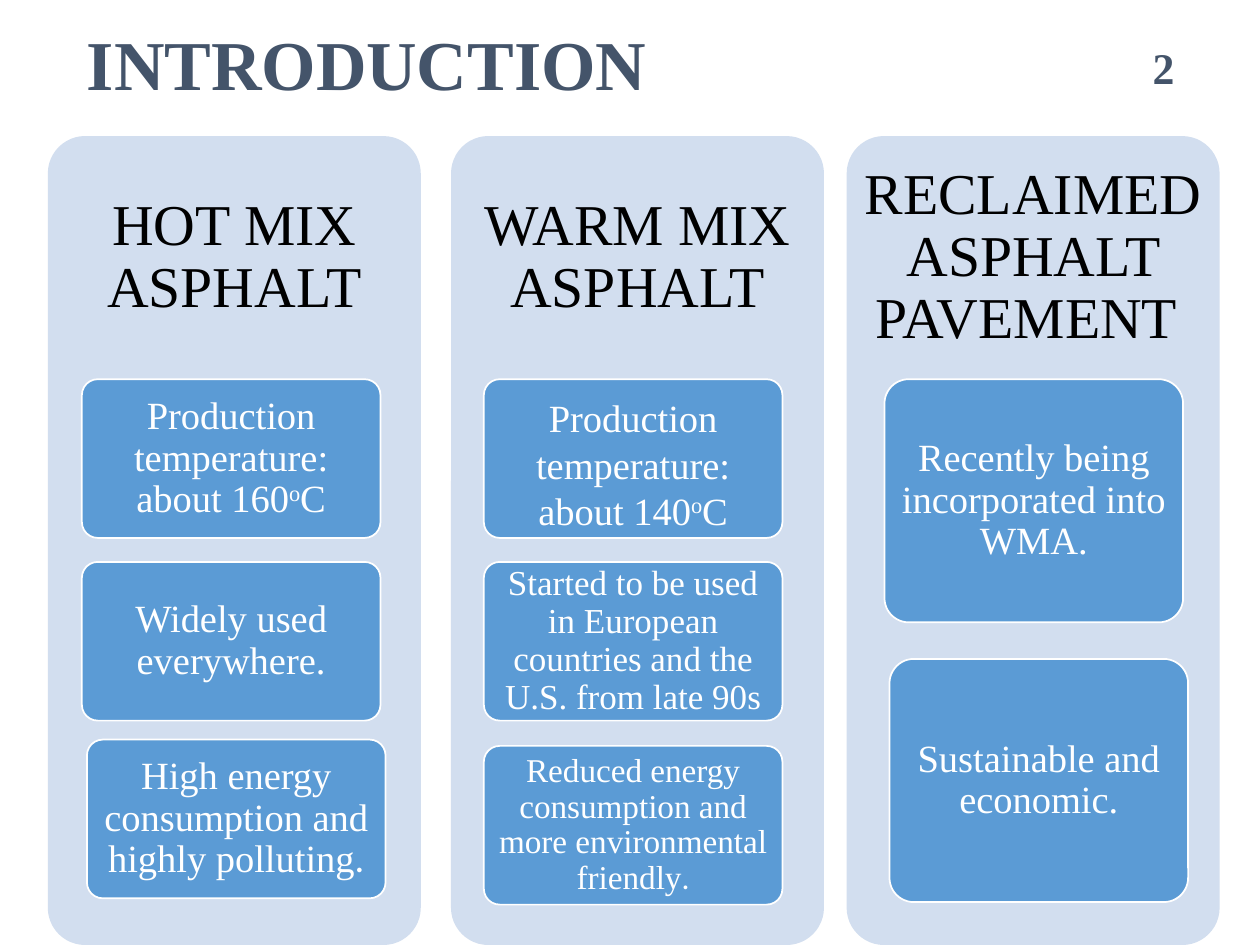
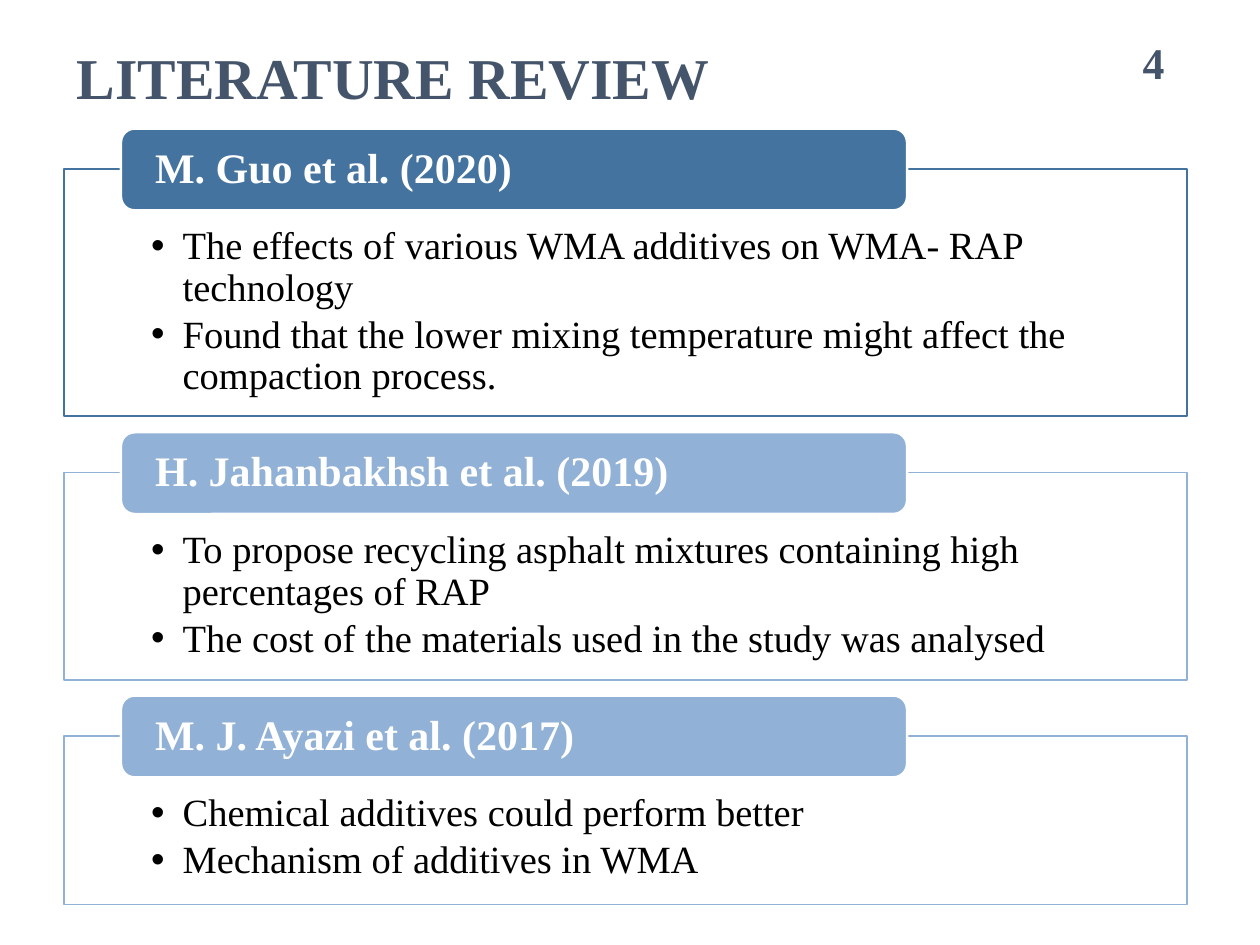
"""Build two slides on asphalt mixes: an introduction and a literature review."""
import pptx
import pptx.dml.color
import pptx.enum.shapes
import pptx.enum.text
import pptx.oxml
import pptx.oxml.ns
import pptx.util
from dataclasses import dataclass

Inches = pptx.util.Inches
Pt = pptx.util.Pt
RGB = pptx.dml.color.RGBColor.from_string
SHAPE = pptx.enum.shapes.MSO_SHAPE
ALIGN = pptx.enum.text.PP_ALIGN
ANCHOR = pptx.enum.text.MSO_ANCHOR


@dataclass(frozen=True)
class Theme:
    """Colours, fonts and type sizes."""
    font: str = "Times New Roman"
    stop_font: str = "Calibri"
    title: str = "44546A"
    text: str = "000000"
    white: str = "FFFFFF"
    panel: str = "D2DEEF"
    card: str = "5B9BD5"
    dark: str = "43739E"
    light: str = "91B1D6"
    number_size: int = 25
    heading_size: int = 33
    card_size: int = 22
    list_size: int = 22
    tab_size: int = 24


THEME = Theme()


def put_text(sp, paragraphs, size, color=THEME.text, bold=False, align=ALIGN.LEFT,
             anchor=ANCHOR.MIDDLE, insets=(0.1, 0.05, 0.1, 0.05), spacing=0.9,
             after=0, bullet=False):
    """Fill a shape; each paragraph is a string or a list of (text, format) runs."""
    tf = sp.text_frame
    tf.word_wrap = True
    tf.auto_size = pptx.enum.text.MSO_AUTO_SIZE.NONE
    tf.vertical_anchor = anchor
    tf.margin_left, tf.margin_top, tf.margin_right, tf.margin_bottom = map(Inches, insets)
    for i, runs in enumerate(paragraphs):
        p = tf.add_paragraph() if i else tf.paragraphs[0]
        if bullet:
            pPr = p._p.get_or_add_pPr()
            pPr.set("marL", str(Inches(0.25)))
            pPr.set("indent", str(-Inches(0.25)))
            ns = pptx.oxml.ns.nsdecls("a")
            pPr.append(pptx.oxml.parse_xml(f'<a:buFont {ns} typeface="Arial"/>'))
            pPr.append(pptx.oxml.parse_xml(f'<a:buChar {ns} char="•"/>'))
        p.alignment = align
        p.line_spacing = spacing
        p.space_before = Pt(0)
        p.space_after = Pt(after)
        for text, extra in [(runs, {})] if isinstance(runs, str) else runs:
            r = p.add_run()
            r.text = text
            r.font.name = extra.get("font", THEME.font)
            r.font.size = Pt(extra.get("size", size))
            r.font.bold = bold
            r.font.color.rgb = RGB(color)
            if "baseline" in extra:
                r._r.get_or_add_rPr().set("baseline", extra["baseline"])


def add_box(s, kind, box, fill, line=None, width=1, radius=None):
    """Add a flat filled shape, with an outline if a line colour is given."""
    sp = s.shapes.add_shape(kind, *map(Inches, box))
    sp.shadow.inherit = False
    sp.fill.solid()
    sp.fill.fore_color.rgb = RGB(fill)
    if line:
        sp.line.color.rgb = RGB(line)
        sp.line.width = Pt(width)
    else:
        sp.line.fill.background()
    if radius:
        sp.adjustments[0] = radius
    return sp


prs = pptx.Presentation()
prs.slide_width = Inches(10)
prs.slide_height = Inches(7.5)

slides = []
for title, title_box, title_size, number, number_at in [
    ("INTRODUCTION", (0.59, 0.12, 6.94, 0.83), 40, "2", (8.86, 0.33)),
    ("LITERATURE REVIEW", (0.51, -0.08, 6.94, 1.44), 33, "4", (8.78, 0.29)),
]:
    s = prs.slides.add_slide(prs.slide_layouts[5])
    sp = s.shapes.title
    sp.left, sp.top, sp.width, sp.height = map(Inches, title_box)
    put_text(sp, [title], title_size, THEME.title, bold=True)
    sp = s.shapes.add_textbox(*map(Inches, (*number_at, 0.56, 0.4)))
    put_text(sp, [number], THEME.number_size, THEME.title, bold=True,
             align=ALIGN.RIGHT, spacing=1.0)
    slides.append(s)
intro, review = slides

degree = ("o", {"baseline": "30000"})
stop = (".", {"font": THEME.stop_font})
small_stop = (".", {"font": THEME.stop_font, "size": 18})
card_format = {"size": THEME.card_size, "insets": (0.06, 0.05, 0.06, 0.05)}
loose = {"spacing": 1.0, "insets": (0.06, 0.13, 0.06, 0.05)}
columns = [
    (0.38, "HOT MIX ASPHALT", 1.26, [
        (0.65, 3.01, [("Production temperature: about 160", {}), degree, ("C", {})], {}),
        (0.65, 4.46, "Widely used everywhere.", {}),
        (0.69, 5.87, [("High energy consumption and highly polluting", {}), stop], {}),
    ]),
    (3.58, "WARM MIX ASPHALT", 1.26, [
        (3.84, 3.01, [("Production temperature: about 140", {}), degree, ("C", {})], loose),
        (3.84, 4.46, "Started to be used in European countries and the U.S. from late 90s",
         {"size": 20}),
        (3.84, 5.92, [("Reduced energy consumption and more environmental friendly", {}),
                      small_stop], {"size": 19, "insets": (0.05, 0.04, 0.05, 0.04)}),
    ]),
    (6.72, "RECLAIMED ASPHALT PAVEMENT ", 1.93, [
        (7.02, 3.01, "Recently being incorporated into WMA.", {}),
        (7.06, 5.23, "Sustainable and economic.", {}),
    ]),
]
for left, heading, card_height, cards in columns:
    add_box(intro, SHAPE.ROUNDED_RECTANGLE, (left, 1.08, 2.96, 6.42), THEME.panel, radius=0.1)
    sp = intro.shapes.add_textbox(*map(Inches, (left, 1.08, 2.96, 1.93)))
    put_text(sp, [heading], THEME.heading_size, align=ALIGN.CENTER, insets=(0.14,) * 4)
    for card_left, top, text, changes in cards:
        sp = add_box(intro, SHAPE.ROUNDED_RECTANGLE, (card_left, top, 2.37, card_height),
                     THEME.card, THEME.white, radius=0.1)
        put_text(sp, [text], color=THEME.white, align=ALIGN.CENTER,
                 **{**card_format, **changes})

studies = [
    ("M. Guo et al. (2020)", 1.34, 1.96, THEME.dark, [
        "The effects of various WMA additives on WMA- RAP technology",
        "Found that the lower mixing temperature might affect the compaction process.",
    ]),
    ("H. Jahanbakhsh et al. (2019)", 3.75, 1.65, THEME.light, [
        "To propose recycling asphalt mixtures containing high percentages of RAP",
        "The cost of the materials used in the study was analysed",
    ]),
    ("M. J. Ayazi et al. (2017)", 5.84, 1.34, THEME.light, [
        "Chemical additives could perform better",
        "Mechanism of additives in WMA",
    ]),
]
for authors, top, height, color, findings in studies:
    sp = add_box(review, SHAPE.RECTANGLE, (0.51, top, 8.91, height), THEME.white, color)
    put_text(sp, findings, THEME.list_size, anchor=ANCHOR.TOP, after=3, bullet=True,
             insets=(0.69, 0.46, 0.69, 0.17))
    sp = add_box(review, SHAPE.ROUNDED_RECTANGLE, (0.96, top - 0.32, 6.24, 0.65), color,
                 THEME.white, width=1.5)
    put_text(sp, [authors], THEME.tab_size, THEME.white, bold=True, insets=(0.24, 0, 0.24, 0))

prs.save("out.pptx")
